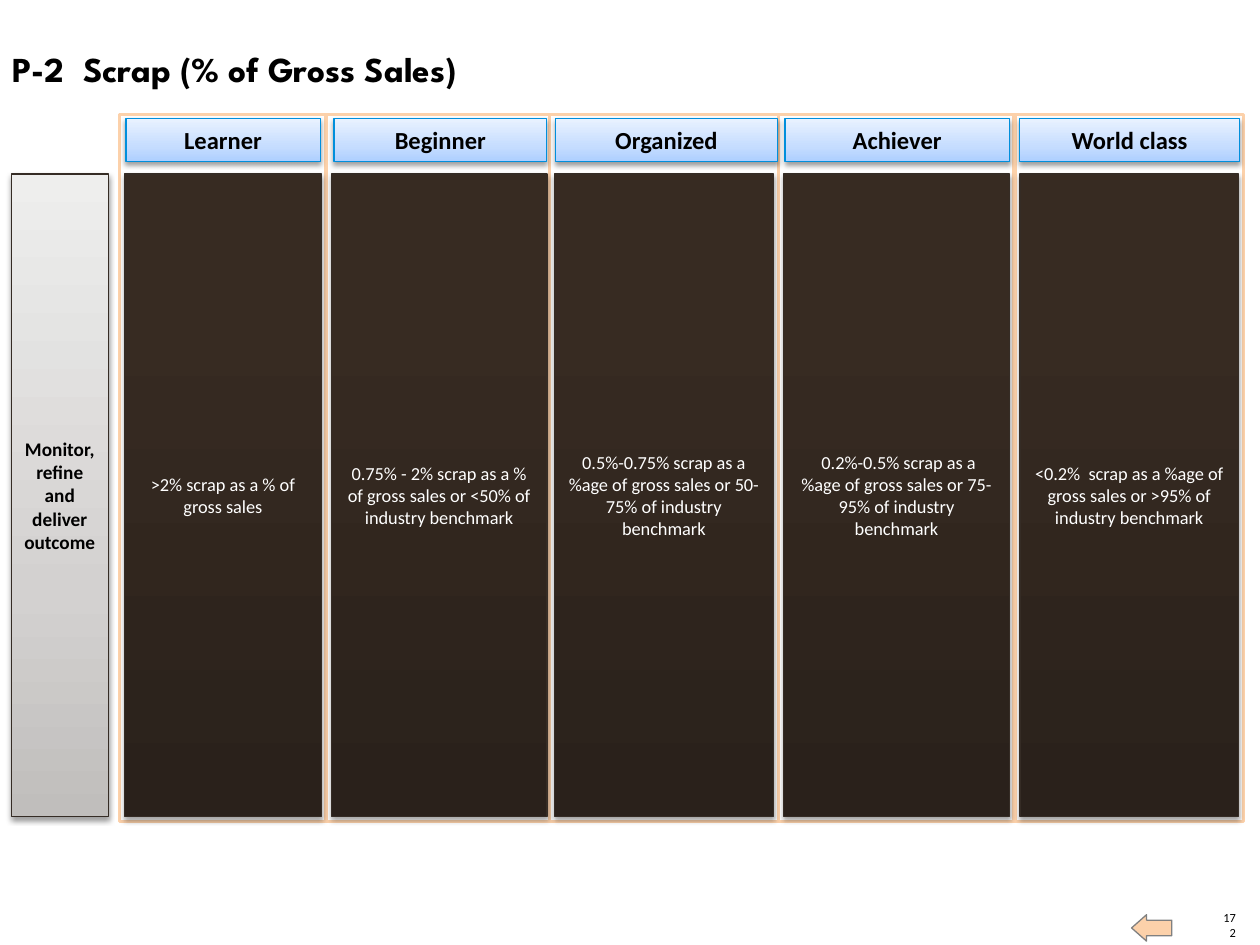
import pptx
import pptx.util
import pptx.dml.color
import pptx.enum.shapes
import pptx.enum.text
import pptx.oxml
import pptx.oxml.ns

Pt = pptx.util.Pt
SHAPES = pptx.enum.shapes.MSO_SHAPE
ALIGN = pptx.enum.text.PP_ALIGN
ANCHOR = pptx.enum.text.MSO_ANCHOR
NAMESPACE = pptx.oxml.ns.nsdecls("a")

GREY = [(0, "C0BEBC"), (35, "D3D1D0"), (100, "EEEEED")]
BROWN = [(0, "2A211B"), (80, "372B22"), (100, "372B22")]
BLUE = [(0, "AECFFF"), (35, "C6DDFF"), (100, "E9F2FF")]

# Each level: frame left and width, header left and width, heading, criterion
LEVELS = [
    (68.4, 118, 72, 111, "Learner", ">2% scrap as a % of gross sales"),
    (186.5, 128.9, 190.8, 121.7, "Beginner",
     "0.75% - 2% scrap as a % of gross sales or <50% of industry benchmark"),
    (313.9, 131, 317.5, 126.7, "Organized",
     "0.5%-0.75% scrap as a %age of gross sales or 50-75% of industry benchmark"),
    (445, 134.6, 448.6, 128.2, "Achiever",
     " 0.2%-0.5% scrap as a %age of gross sales or 75-95% of industry benchmark"),
    (580, 130.6, 582.5, 126, "World class",
     "<0.2%  scrap as a %age of gross sales or >95% of industry benchmark"),
]


def color(value):
    """Turn a hex string into a colour."""
    return pptx.dml.color.RGBColor.from_string(value)


def write(shape, text, size, hue="000000", bold=False, align=ALIGN.CENTER,
          anchor=ANCHOR.MIDDLE, font="Calibri"):
    """Put one formatted paragraph into a shape."""
    frame = shape.text_frame
    frame.word_wrap = True
    frame.vertical_anchor = anchor
    frame.text = text
    para = frame.paragraphs[0]
    para.alignment = align
    for span in para.runs:
        span.font.name = font
        span.font.size = Pt(size)
        span.font.bold = bold
        span.font.color.rgb = color(hue)


def add_box(page, kind, box, fill, line, weight):
    """Add a flat preset shape with a solid fill."""
    shape = page.shapes.add_shape(kind, *map(Pt, box))
    shape.shadow.inherit = False
    shape.fill.solid()
    shape.fill.fore_color.rgb = color(fill)
    shape.line.color.rgb = color(line)
    shape.line.width = Pt(weight)
    return shape


def add_panel(page, box, stops, line, opacity, distance):
    """Add a rectangle with a rising gradient and a soft shadow."""
    shape = add_box(page, SHAPES.RECTANGLE, box, stops[0][1], line, 0.75)
    shape.fill.gradient()
    shape.fill.gradient_angle = 90
    properties = shape._element.spPr
    gradient = properties.find(pptx.oxml.ns.qn("a:gradFill"))
    entries = "".join(
        f'<a:gs pos="{place * 1000}"><a:srgbClr val="{hue}"/></a:gs>' for place, hue in stops)
    gradient.replace(
        gradient.find(pptx.oxml.ns.qn("a:gsLst")),
        pptx.oxml.parse_xml(f"<a:gsLst {NAMESPACE}>{entries}</a:gsLst>"))
    properties.find(pptx.oxml.ns.qn("a:effectLst")).append(pptx.oxml.parse_xml(
        f'<a:outerShdw {NAMESPACE} blurRad="{Pt(3.1)}" dist="{Pt(distance)}" dir="5400000" '
        f'rotWithShape="0"><a:srgbClr val="000000"><a:alpha val="{opacity * 1000}"/>'
        '</a:srgbClr></a:outerShdw>'))
    return shape


def add_title(page, box):
    """Add the slide title."""
    title = page.shapes.add_textbox(*map(Pt, box))
    write(title, "P-2  Scrap (% of Gross Sales)", 20, bold=True, align=ALIGN.LEFT,
          anchor=ANCHOR.TOP, font="League Spartan")


def add_levels(page, top, height):
    """Add the stage label and the five maturity columns."""
    panel_top, panel_height = top + 33.9, height - 36.8
    label = add_panel(page, (6.5, panel_top, 55.4, panel_height), GREY, "352C25", 38, 1.6)
    write(label, "Monitor, refine and deliver outcome", 11, bold=True)
    for left, width, *rest in LEVELS:
        add_box(page, SHAPES.RECTANGLE, (left, top, width, height), "FFFFFF", "FCD1AA", 2)
    for left, width, header_left, header_width, heading, criterion in LEVELS:
        box = (left + 2.8, panel_top, width - 5.6, panel_height)
        write(add_panel(page, box, BROWN, "352C25", 35, 1.8), criterion, 10.5, "FFFFFF")
        box = (header_left, top + 2.2, header_width, 24.5)
        write(add_panel(page, box, BLUE, "008FDC", 38, 1.6), heading, 14, bold=True)


def add_footer(page, left, top):
    """Add the back arrow and the page number."""
    arrow = add_box(page, SHAPES.RIGHT_ARROW, (left, top, 23, 15.1), "FCD1AA", "808080", 0.75)
    arrow.rotation = 180
    arrow.adjustments[0] = 0.588
    arrow.adjustments[1] = 0.565
    number = page.shapes.add_textbox(Pt(left + 51.1), Pt(top + 5.8), Pt(8.6), Pt(8.6))
    frame = number.text_frame
    frame.margin_left = frame.margin_right = frame.margin_top = frame.margin_bottom = 0
    write(number, "172", 7.1, align=ALIGN.RIGHT, anchor=ANCHOR.BOTTOM)


def main():
    """Build the deck and save it."""
    deck = pptx.Presentation()
    deck.slide_width, deck.slide_height = Pt(720), Pt(540)
    page = deck.slides.add_slide(deck.slide_layouts[6])
    add_footer(page, 646.6, 522.7)
    add_title(page, (0, 23.8, 619.2, 31.7))
    add_levels(page, 65.5, 404)
    deck.save("out.pptx")


if __name__ == "__main__":
    main()
